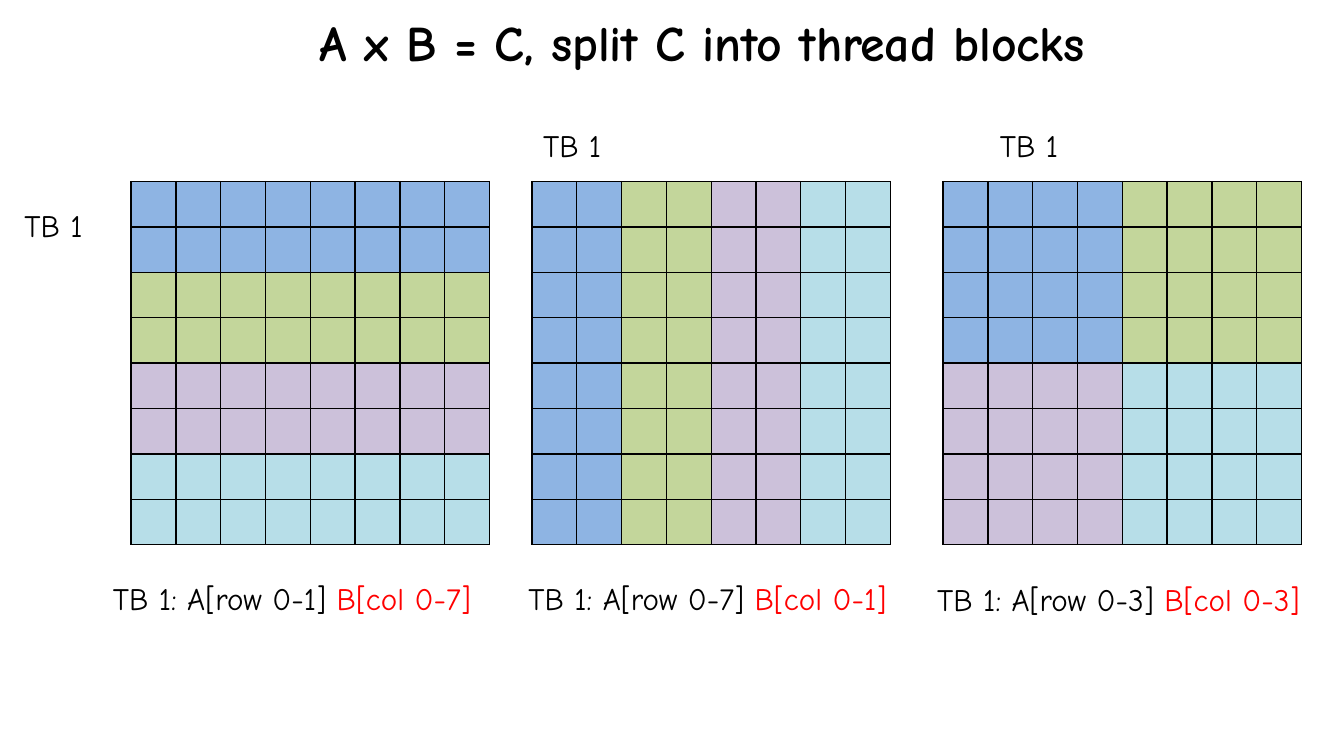
from lxml import etree
from pptx import Presentation
from pptx.dml.color import RGBColor
from pptx.enum import text
from pptx.oxml.ns import qn
from pptx.util import Inches, Pt

FONT = "Comic Neue"
BLACK, RED = "000000", "FF0000"
BLUE, GREEN, PURPLE, AQUA = BLOCKS = ["8EB4E3", "C3D69B", "CCC1DA", "B7DEE8"]
SIZE = 8  # rows and columns of each matrix
TABLE_TOP = 1.62
CELL = 0.4


def color(value):
    return RGBColor.from_string(value)


def add_run(paragraph, content, size=20, fill=BLACK, bold=False):
    run = paragraph.add_run()
    run.text = content
    run.font.name = FONT
    run.font.size = Pt(size)
    run.font.bold = bold
    run.font.color.rgb = color(fill)
    return run


def add_title(slide, content):
    title = slide.shapes.title
    title.left, title.top = Inches(1.01), Inches(-0.05)
    title.width, title.height = Inches(10.68), Inches(0.85)
    frame = title.text_frame
    frame.auto_size = text.MSO_AUTO_SIZE.NONE
    frame.vertical_anchor = text.MSO_ANCHOR.MIDDLE
    frame.margin_left = frame.margin_right = Inches(0.12)
    frame.margin_top = frame.margin_bottom = Inches(0.06)
    paragraph = frame.paragraphs[0]
    paragraph.alignment = text.PP_ALIGN.CENTER
    run = add_run(paragraph, content, size=32, bold=True)
    run.font._element.set("spc", "-10")


def add_label(slide, left, top, width, parts):
    """Add one line of text made of (content, color) parts."""
    box = slide.shapes.add_textbox(Inches(left), Inches(top), Inches(width), Inches(0.44))
    frame = box.text_frame
    frame.word_wrap = False
    frame.auto_size = text.MSO_AUTO_SIZE.SHAPE_TO_FIT_TEXT
    for content, fill in parts:
        add_run(frame.paragraphs[0], content, fill=fill)


def add_borders(cell):
    properties = cell._tc.get_or_add_tcPr()
    for index, side in enumerate(("lnL", "lnR", "lnT", "lnB")):
        line = etree.Element(qn(f"a:{side}"), w=str(Pt(1)))
        fill = etree.SubElement(line, qn("a:solidFill"))
        etree.SubElement(fill, qn("a:srgbClr"), val=BLACK)
        properties.insert(index, line)


def add_matrix(slide, left, height, block_color):
    """Add a square table; block_color gives the fill for a row and column."""
    frame = slide.shapes.add_table(
        SIZE, SIZE, Inches(left), Inches(TABLE_TOP), Inches(SIZE * CELL), Inches(height))
    table = frame.table
    table.first_row = table.horz_banding = False
    for row in range(SIZE):
        for column in range(SIZE):
            cell = table.cell(row, column)
            cell.fill.solid()
            cell.fill.fore_color.rgb = color(block_color(row, column))
            add_borders(cell)


def by_rows(row, column):
    return BLOCKS[row // 2]


def by_columns(row, column):
    return BLOCKS[column // 2]


def by_quadrants(row, column):
    return BLOCKS[row // 4 * 2 + column // 4]


def main():
    presentation = Presentation()
    presentation.slide_width, presentation.slide_height = Inches(12), Inches(6.75)
    slide = presentation.slides.add_slide(presentation.slide_layouts[5])
    add_title(slide, "A x B = C, split C into thread blocks ")

    # Three ways to split C
    for left, height, rule in [
        (1.17, 3, by_rows), (4.75, 3.2, by_columns), (8.42, 3.2, by_quadrants),
    ]:
        add_matrix(slide, left, height, rule)

    # Position of the first thread block
    for left, top in [(0.12, 1.79), (4.75, 1.08), (8.83, 1.08)]:
        add_label(slide, left, top, 0.78, [("TB 1", BLACK)])

    # Data that the first thread block reads
    for left, top, width, last_row, last_column in [
        (0.91, 5.12, 3.72, 1, 7), (4.62, 5.12, 3.72, 7, 1), (8.27, 5.13, 3.77, 3, 3),
    ]:
        add_label(slide, left, top, width, [
            (f"TB 1: A[row 0-{last_row}] ", BLACK), (f"B[col 0-{last_column}]", RED)])

    presentation.save("out.pptx")


if __name__ == "__main__":
    main()
